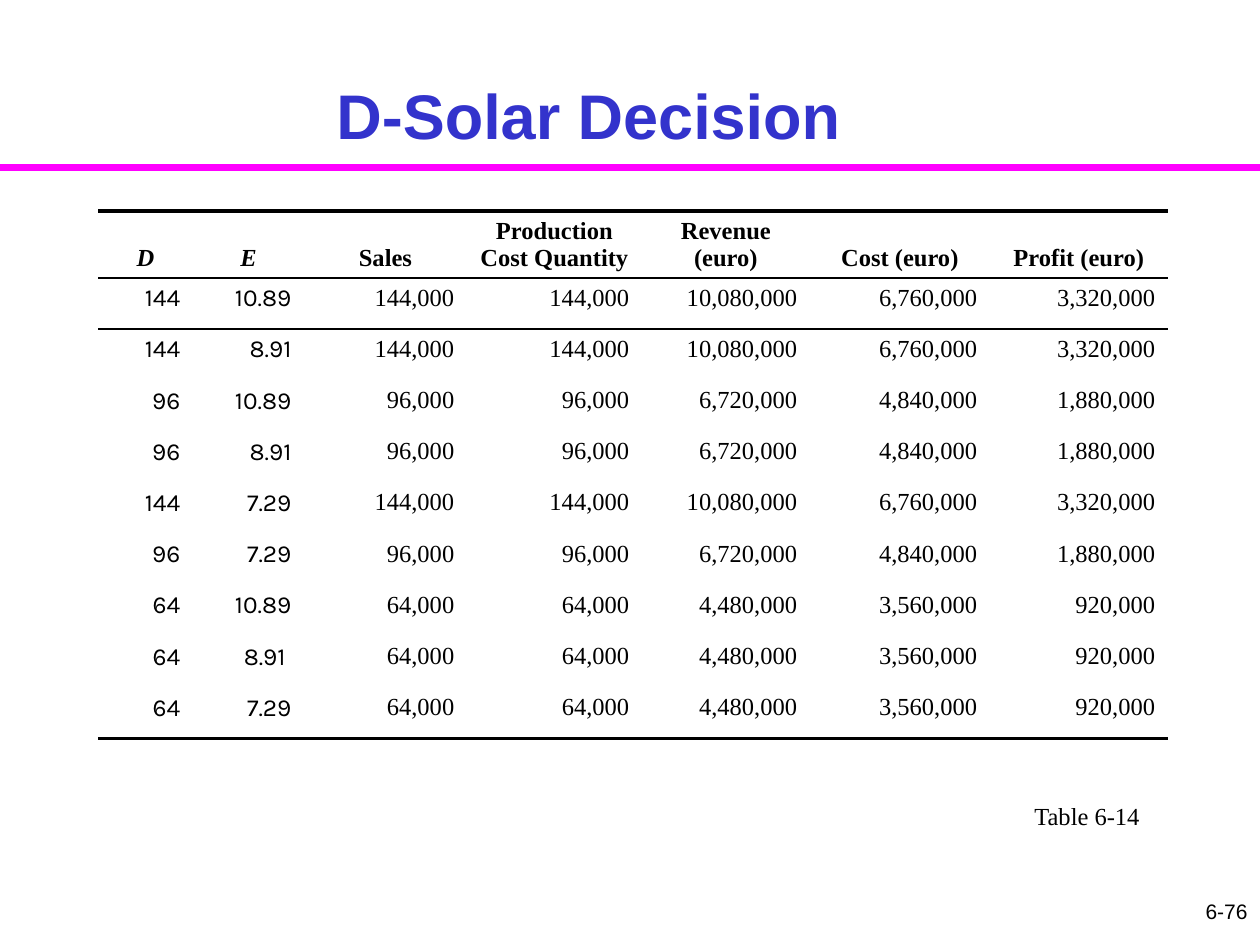
from lxml.etree import SubElement
from pptx import Presentation
from pptx.dml.color import RGBColor
from pptx.enum.shapes import MSO_CONNECTOR
from pptx.enum.text import MSO_ANCHOR, MSO_AUTO_SIZE, PP_ALIGN
from pptx.oxml.ns import qn
from pptx.util import Emu, Pt

PIXELS_PER_INCH = 126
BLACK = RGBColor(0x00, 0x00, 0x00)
BLUE = RGBColor(0x33, 0x33, 0xCC)
MAGENTA = RGBColor(0xFF, 0x00, 0xFF)
SERIF, SANS, NUMERIC = "Times New Roman", "Arial", "Karla"
PLAIN_TABLE_STYLE = "{2D5ABB26-0587-4C30-8999-92F81FD0307C}"

HEADERS = ["D", "E", "Sales", "Production Cost Quantity",
           "Revenue (euro)", "Cost (euro)", "Profit (euro)"]
# Sales and production quantity are equal, and D decides all the amounts
OUTCOMES = {
    "144": ["144,000", "144,000", "10,080,000", "6,760,000", "3,320,000"],
    "96": ["96,000", "96,000", "6,720,000", "4,840,000", "1,880,000"],
    "64": ["64,000", "64,000", "4,480,000", "3,560,000", "920,000"],
}
SCENARIOS = [("144", "10.89"), ("144", "8.91"), ("96", "10.89"),
             ("96", "8.91"), ("144", "7.29"), ("96", "7.29"),
             ("64", "10.89"), ("64", "8.91 "), ("64", "7.29")]
COLUMN_WIDTHS = [95, 111, 163, 175, 168, 180, 178]
HEADER_HEIGHT, BODY_HEIGHT = 67, 461


def px(pixels):
    return Emu(round(pixels * 914400 / PIXELS_PER_INCH))


def format_paragraph(paragraph, size, font_name, color=BLACK, bold=False,
                     italic=False, alignment=PP_ALIGN.LEFT):
    paragraph.alignment = alignment
    font = paragraph.font
    font.size, font.name = Pt(size), font_name
    font.bold, font.italic = bold, italic
    font.color.rgb = color


def add_rule(slide, y):
    rule = slide.shapes.add_connector(MSO_CONNECTOR.STRAIGHT,
                                      0, px(y), px(1260), px(y))
    rule.line.color.rgb = MAGENTA
    rule.line.width = Pt(4)
    SubElement(rule._element.spPr, qn("a:effectLst"))


def set_title(slide, text):
    title = slide.shapes.title
    title.left, title.top, title.width, title.height = map(px, (53, 37, 1071, 121))
    frame = title.text_frame
    frame.text = text
    frame.auto_size = MSO_AUTO_SIZE.NONE
    frame.vertical_anchor = MSO_ANCHOR.BOTTOM
    format_paragraph(frame.paragraphs[0], 36, SANS, BLUE, bold=True,
                     alignment=PP_ALIGN.CENTER)


def add_label(slide, text, box, size, font_name, alignment, wrap):
    frame = slide.shapes.add_textbox(*map(px, box)).text_frame
    frame.word_wrap = wrap
    frame.text = text
    format_paragraph(frame.paragraphs[0], size, font_name, alignment=alignment)


def add_border(cell, side, points):
    """Draw one black edge; side is lnT or lnB."""
    border = SubElement(cell._tc.get_or_add_tcPr(), qn(f"a:{side}"),
                        w=str(Pt(points)))
    fill = SubElement(border, qn("a:solidFill"))
    SubElement(fill, qn("a:srgbClr"), val=str(BLACK))


def fill_cell(cell, text, row, column, last_row):
    cell.text = text
    paragraph = cell.text_frame.paragraphs[0]
    if row == 0:
        cell.vertical_anchor = MSO_ANCHOR.BOTTOM
        format_paragraph(paragraph, 14, SERIF, bold=True, italic=column < 2,
                         alignment=PP_ALIGN.CENTER)
        add_border(cell, "lnT", 2.25)
    else:
        format_paragraph(paragraph, 14, NUMERIC if column < 2 else SERIF,
                         italic=False, alignment=PP_ALIGN.RIGHT)
    bottom_borders = {0: 1.5, 1: 1, last_row: 2.25}
    if row in bottom_borders:
        add_border(cell, "lnB", bottom_borders[row])
    cell.fill.background()


def add_decision_table(slide):
    rows = [HEADERS] + [[d, e, *OUTCOMES[d]] for d, e in SCENARIOS]
    frame = slide.shapes.add_table(
        len(rows), len(HEADERS), px(98), px(211),
        px(sum(COLUMN_WIDTHS)), px(HEADER_HEIGHT + BODY_HEIGHT))
    table = frame.table
    table.first_row = table.horz_banding = False
    table._tbl.tblPr.find(qn("a:tableStyleId")).text = PLAIN_TABLE_STYLE
    for column, width in zip(table.columns, COLUMN_WIDTHS):
        column.width = px(width)
    for row, values in enumerate(rows):
        table.rows[row].height = px(BODY_HEIGHT / len(SCENARIOS) if row
                                    else HEADER_HEIGHT)
        for column, text in enumerate(values):
            fill_cell(table.cell(row, column), text, row, column, len(rows) - 1)


def main():
    presentation = Presentation()
    presentation.slide_width, presentation.slide_height = px(1260), px(945)
    slide = presentation.slides.add_slide(presentation.slide_layouts[5])

    # Heading
    add_rule(slide, 168)
    set_title(slide, "D-Solar Decision")

    # Table and its caption
    add_decision_table(slide)
    add_label(slide, "Table 6-14", (1022, 795, 141, 43), 14, SERIF,
              PP_ALIGN.LEFT, wrap=False)

    # Page number
    add_label(slide, "6-76", (998, 892, 262, 53), 12, SANS,
              PP_ALIGN.RIGHT, wrap=True)

    presentation.save("out.pptx")


if __name__ == "__main__":
    main()
